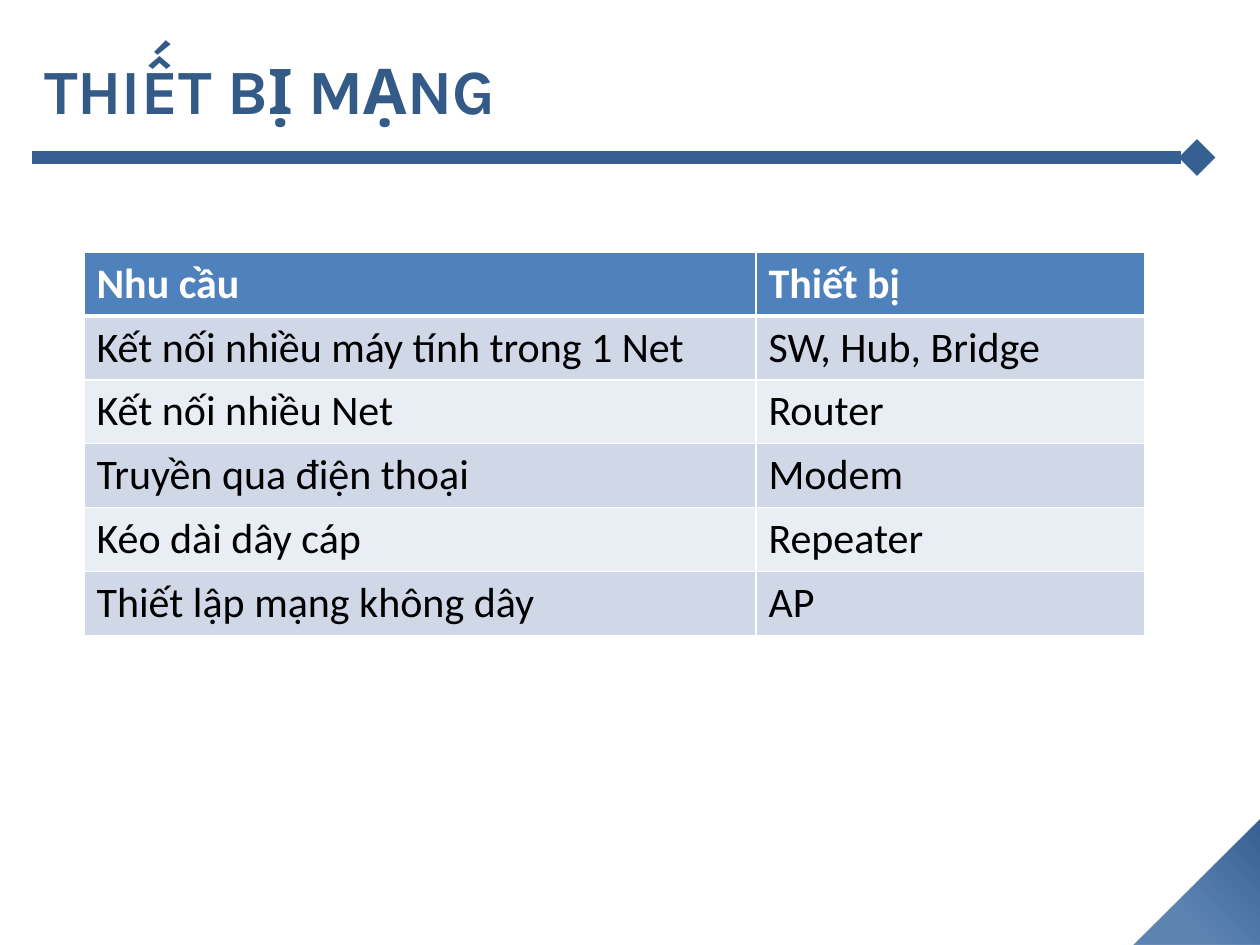
from lxml import etree
from pptx import Presentation
from pptx import util as u
from pptx.dml.color import RGBColor
from pptx.enum import shapes, text
from pptx.oxml import parse_xml
from pptx.oxml.ns import nsdecls, qn

Pt = u.Pt


def rgb(value):
    return RGBColor.from_string(value)


def add_run(p, content, font, size, color, bold):
    r = p.add_run()
    r.text = content
    r.font.name, r.font.size, r.font.bold = font, Pt(size), bold
    r.font.color.rgb = rgb(color)


prs = Presentation()
prs.slide_width, prs.slide_height = Pt(720), Pt(540)
s = prs.slides.add_slide(prs.slide_layouts[5])

# Corner triangle with a radial gradient
sp = s.shapes.add_shape(shapes.MSO_SHAPE.RIGHT_TRIANGLE, Pt(648), Pt(468), Pt(72), Pt(72))
sp.rotation = 270
sp.shadow.inherit = False
sp.line.fill.background()
grad = parse_xml(
    f'<a:gradFill {nsdecls("a")} rotWithShape="0"><a:gsLst>'
    '<a:gs pos="0"><a:srgbClr val="376092"/></a:gs>'
    '<a:gs pos="68000"><a:srgbClr val="3D6CA4"><a:alpha val="83000"/></a:srgbClr></a:gs>'
    '</a:gsLst><a:path path="circle"><a:fillToRect l="100000" b="100000"/></a:path></a:gradFill>')
sp._element.spPr.find(qn("a:prstGeom")).addnext(grad)

# Rule under the title, ending in a diamond
rule = s.shapes.add_connector(shapes.MSO_CONNECTOR.STRAIGHT, Pt(18), Pt(90), Pt(684), Pt(90))
rule.line.color.rgb = rgb("376092")
rule.line.width = Pt(7)
etree.SubElement(rule.line._get_or_add_ln(), qn("a:tailEnd"), type="diamond")
etree.SubElement(rule._element.spPr, qn("a:effectLst"))

# Title
title = s.shapes.title
title.left, title.top, title.width, title.height = Pt(18), Pt(6), Pt(689), Pt(90)
tf = title.text_frame
tf.word_wrap = True
tf.vertical_anchor = text.MSO_ANCHOR.MIDDLE
p = tf.paragraphs[0]
p.alignment = text.PP_ALIGN.LEFT
add_run(p, "THIẾT BỊ MẠNG", "Karla", 36, "345A88", True)

# Table of needs and devices
rows = [
    ("Nhu cầu", "Thiết bị"),
    ("Kết nối nhiều máy tính trong 1 Net", "SW, Hub, Bridge"),
    ("Kết nối nhiều Net", "Router"),
    ("Truyền qua điện thoại", "Modem"),
    ("Kéo dài dây cáp", "Repeater"),
    ("Thiết lập mạng không dây", "AP"),
]
table = s.shapes.add_table(len(rows), 2, Pt(48), Pt(144), Pt(606), Pt(216)).table
table.columns[0].width, table.columns[1].width = Pt(384), Pt(222)

for i, row in enumerate(rows):
    header = i == 0
    fill = "4F81BD" if header else ("E9EDF4", "D0D8E8")[i % 2]
    for j, content in enumerate(row):
        cell = table.cell(i, j)
        cell.fill.solid()
        cell.fill.fore_color.rgb = rgb(fill)
        add_run(cell.text_frame.paragraphs[0], content, "Calibri", 24,
                "FFFFFF" if header else "000000", header)
        # White borders go before the fill in the cell properties
        for k, side in enumerate(("lnL", "lnR", "lnT", "lnB")):
            width = Pt(3 if header and side == "lnB" else 1)
            cell._tc.tcPr.insert(k, parse_xml(
                f'<a:{side} {nsdecls("a")} w="{width}"><a:solidFill>'
                f'<a:srgbClr val="FFFFFF"/></a:solidFill></a:{side}>'))

prs.save("out.pptx")
